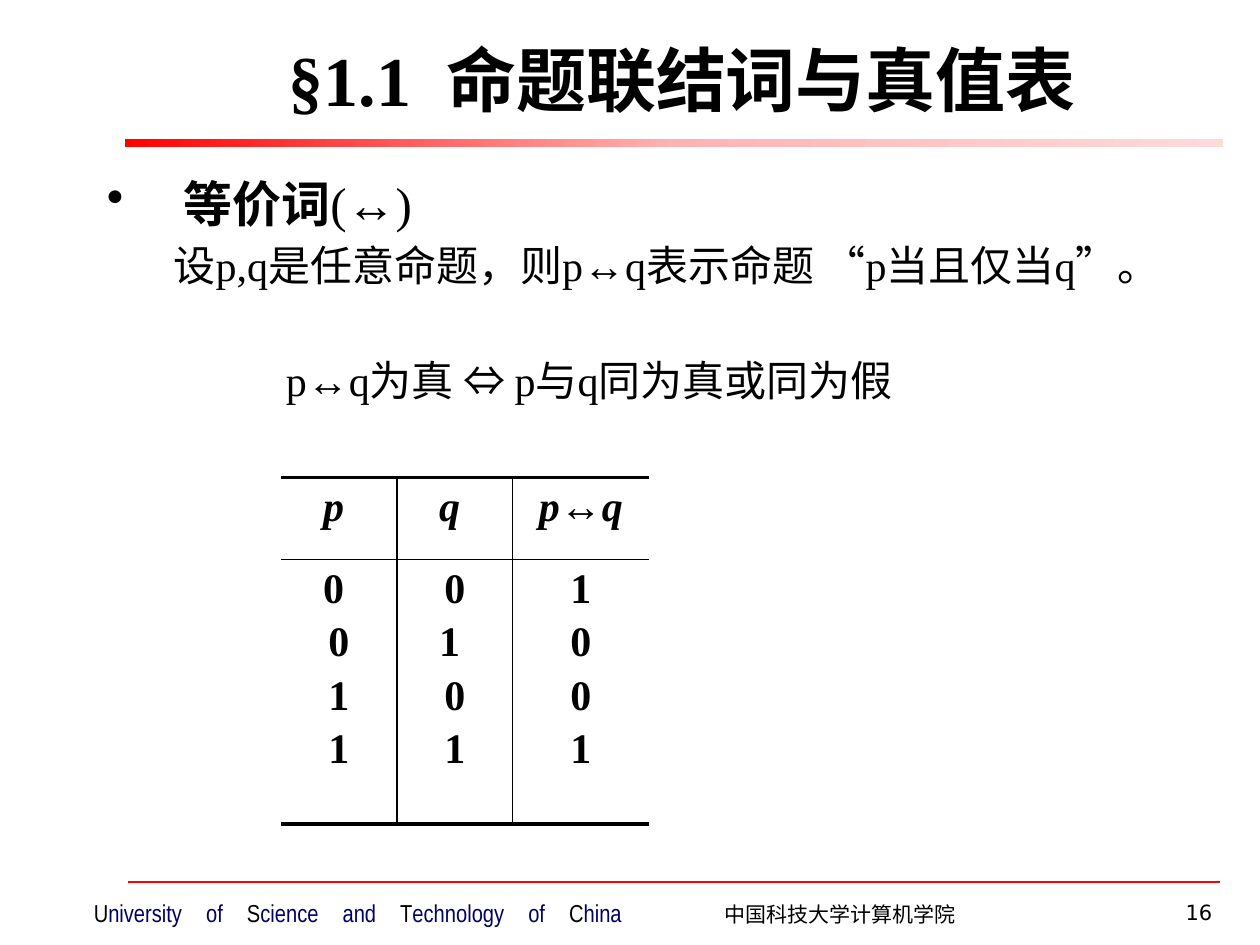
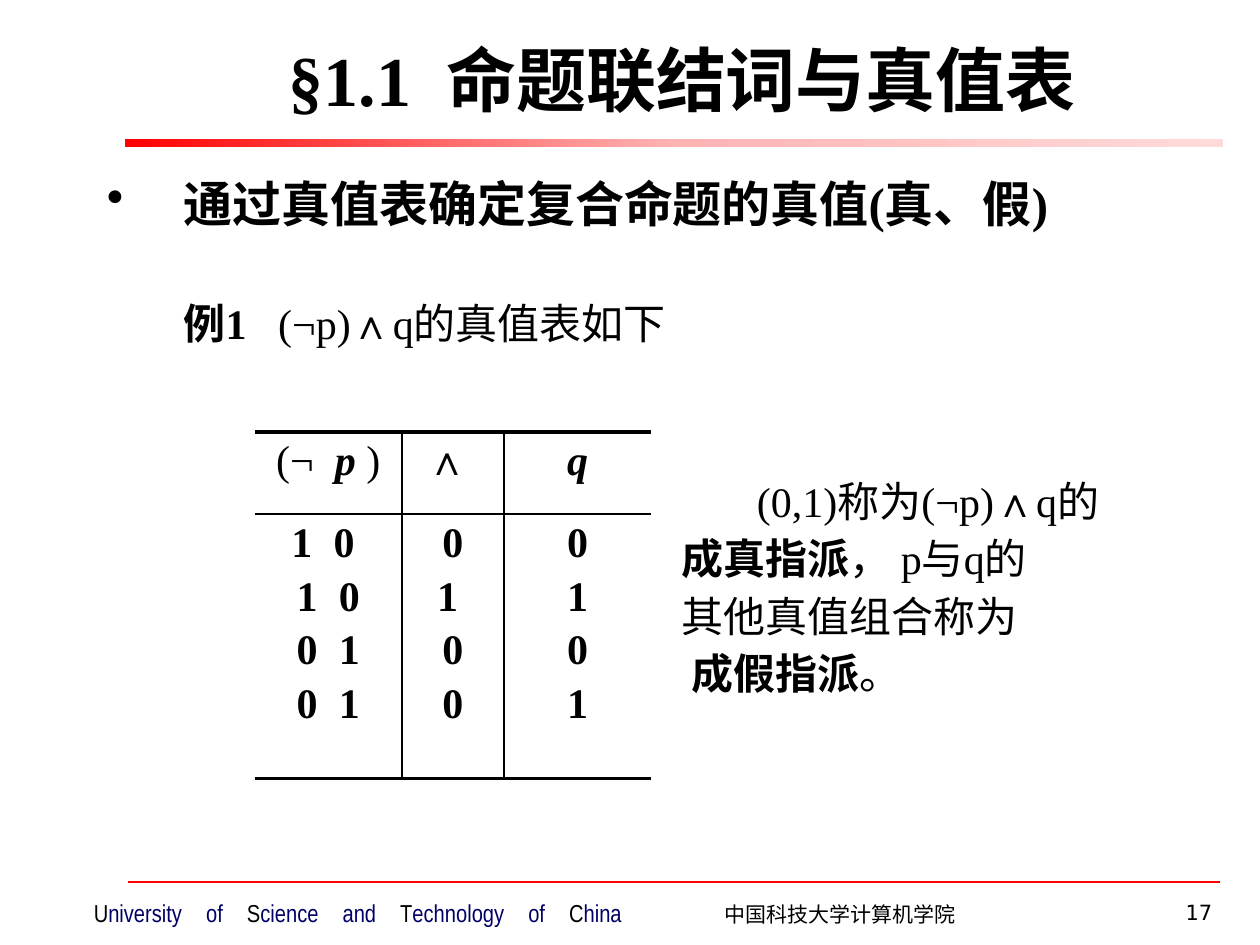
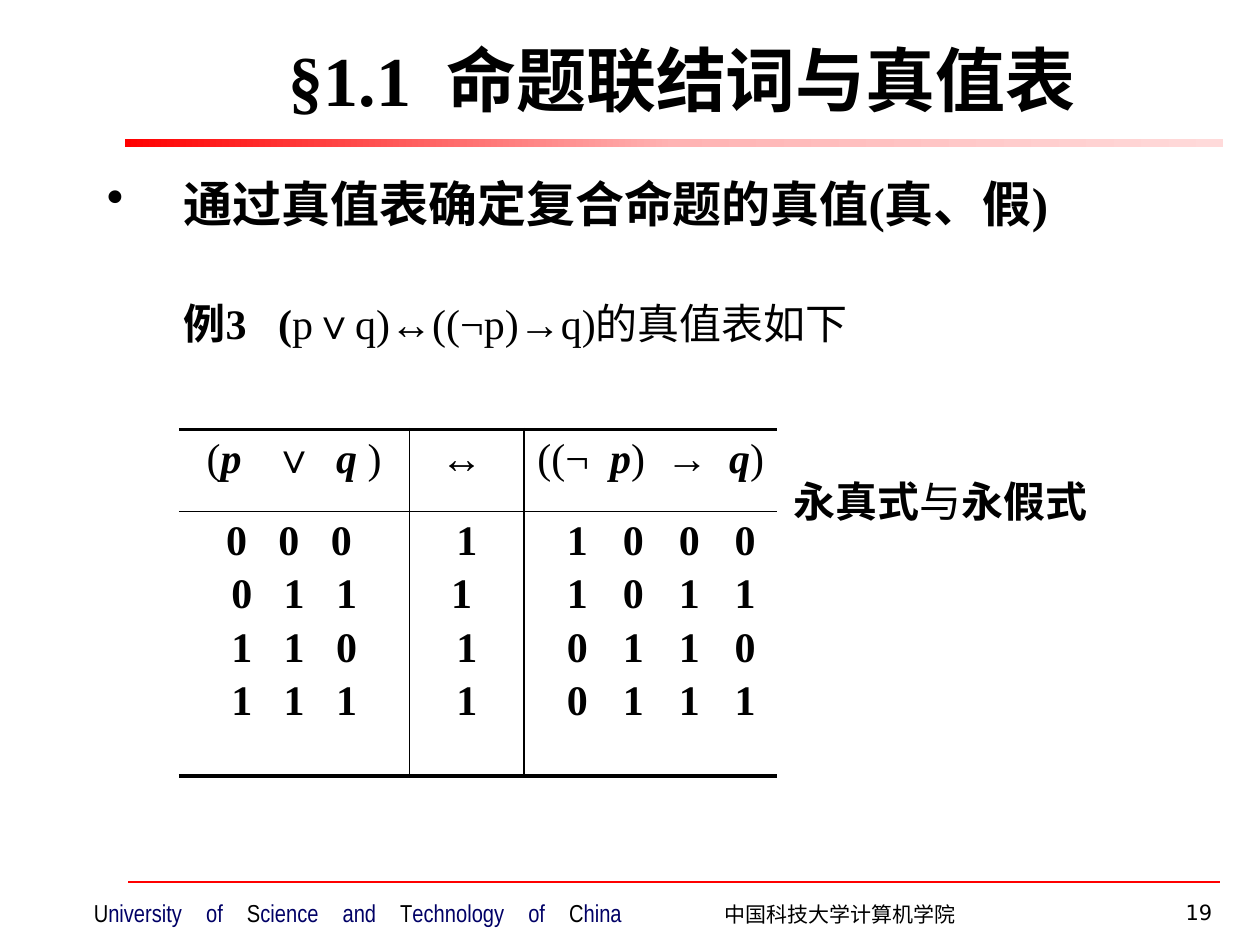
from copy import deepcopy
from dataclasses import dataclass
from itertools import groupby

from lxml.etree import SubElement
from pptx import Presentation
from pptx.dml.color import RGBColor
from pptx.enum.shapes import MSO_CONNECTOR, MSO_SHAPE
from pptx.enum.text import MSO_ANCHOR, PP_ALIGN
from pptx.oxml.ns import qn
from pptx.util import Emu, Inches, Pt

LEFT, CENTER, RIGHT = PP_ALIGN.LEFT, PP_ALIGN.CENTER, PP_ALIGN.RIGHT
TOP, MIDDLE = MSO_ANCHOR.TOP, MSO_ANCHOR.MIDDLE
RECTANGLE, STRAIGHT = MSO_SHAPE.RECTANGLE, MSO_CONNECTOR.STRAIGHT

SLIDE_WIDTH, SLIDE_HEIGHT = Inches(10), Inches(7.5)
GRID_COLUMNS = 100  # square grid: 100 columns by 75 rows


@dataclass(frozen=True)
class Theme:
    ink: str = "000000"
    navy: str = "000066"
    rule: str = "FF0000"
    paper: str = "FFFFFF"
    band: tuple = ((0, "FF0000"), (0.5, "FFB3B3"), (1, "FFDADA"))
    serif: str = "Times New Roman"
    sans: str = "DejaVu Sans"
    narrow: str = "Arial Narrow"
    title: float = 40
    heading: float = 28
    body: float = 24
    university: float = 14
    footer: float = 12
    line_gap: float = 4
    section_gap: float = 37
    note_gap: float = 73
    thin: float = 1
    thick: float = 2.25
    rule_width: float = 0.75


THEME = Theme()


@dataclass(frozen=True)
class Box:
    """A place on the slide, in grid units."""
    left: float
    top: float
    width: float
    height: float

    def emu(self) -> tuple:
        return tuple(grid(n) for n in (self.left, self.top, self.width, self.height))


@dataclass(frozen=True)
class Span:
    """Text in one style; each space in it is `gap` normal spaces wide."""
    text: str
    bold: bool = False
    italic: bool = False
    color: str = THEME.ink
    gap: float = 1


@dataclass(frozen=True)
class Line:
    """A paragraph; left and first are its indents in grid units."""
    spans: tuple
    size: float = THEME.body
    font: str = THEME.serif
    align: PP_ALIGN = LEFT
    left: float = 0
    first: float = 0
    before: float = 0
    bullet: str = ""


@dataclass(frozen=True)
class Column:
    """A column of a truth table; shift moves its values to the right."""
    width: float
    header: tuple
    values: tuple
    gap: float = 1
    shift: float = 0


@dataclass(frozen=True)
class Lesson:
    number: int
    lines: tuple
    table_left: float
    table_top: float
    columns: tuple


TITLE_BOX = Box(12.5, 2.5, 83.3, 7.4)
BAND_BOX = Box(9.9, 11, 87.2, 0.7)
BODY_BOX = Box(7.5, 13.3, 88.3, 56.1)
UNIVERSITY_BOX = Box(11.6, 70.7, 33.6, 3.4)
SCHOOL_BOX = Box(55.5, 71.1, 22.4, 3)
NUMBER_BOX = Box(80.7, 70.9, 16.5, 3)
RULE_LEFT, RULE_RIGHT, RULE_TOP = 10.2, 96.8, 70
HEADER_HEIGHT, VALUES_HEIGHT = 6.5, 21

TITLE = Span("§1.1 命题联结词与真值表", bold=True, gap=2)
SCHOOL = Span("中国科技大学计算机学院")
UNIVERSITY = tuple(
    span
    for initial, rest in (("U", "niversity of "), ("S", "cience and "),
                          ("T", "echnology of "), ("C", "hina"))
    for span in (Span(initial), Span(rest, color=THEME.navy, gap=4))
)


def grid(units: float) -> Emu:
    return Emu(round(SLIDE_WIDTH * units / GRID_COLUMNS))


def rgb(color: str) -> RGBColor:
    return RGBColor.from_string(color)


def strong(text: str, gap: float = 1) -> Span:
    return Span(text, bold=True, gap=gap)


def variable(text: str, gap: float = 1) -> Span:
    return Span(text, bold=True, italic=True, gap=gap)


def heading(*spans: Span) -> Line:
    return Line(spans, size=THEME.heading, left=6.1, first=-6.1,
                before=THEME.line_gap, bullet="•")


def example(*spans: Span) -> Line:
    return Line(spans, left=6.1, before=THEME.section_gap)


def note(*spans: Span, left: float = 45.6, before: float = THEME.line_gap) -> Line:
    return Line(spans, left=left, before=before)


def agreed(values: list):
    """The value that all share, or None when they differ."""
    return values[0] if len(set(values)) == 1 else None


def write_span(paragraph, span: Span, size: float) -> list:
    """Add the runs of a span, with letter spacing widening its spaces."""
    runs = []
    for is_gap, letters in groupby(span.text, key=str.isspace):
        run = paragraph.add_run()
        run.text = "".join(letters)
        if is_gap and span.gap > 1:
            extra = (span.gap - 1) * size / 4
            run._r.get_or_add_rPr().set("spc", str(round(extra * 100)))
        runs.append(run)
    return runs


def write_line(paragraph, line: Line) -> None:
    paragraph.alignment = line.align
    paragraph.space_before = Pt(line.before)
    properties = paragraph._p.get_or_add_pPr()
    properties.set("marL", str(grid(line.left)))
    properties.set("indent", str(grid(line.first)))
    if line.bullet:
        SubElement(properties, qn("a:buChar")).set("char", line.bullet)

    font = paragraph.font
    font.name, font.size = line.font, Pt(line.size)
    bold = agreed([span.bold for span in line.spans])
    italic = agreed([span.italic for span in line.spans])
    color = agreed([span.color for span in line.spans])
    font.bold, font.italic = bold, italic
    if color:
        font.color.rgb = rgb(color)
    for span in line.spans:
        for run in write_span(paragraph, span, line.size):
            if bold is None:
                run.font.bold = span.bold
            if italic is None:
                run.font.italic = span.italic
            if color is None:
                run.font.color.rgb = rgb(span.color)


def write_lines(frame, lines: tuple) -> None:
    for index, line in enumerate(lines):
        write_line(frame.add_paragraph() if index else frame.paragraphs[0], line)


def draw_text(slide, box: Box, lines: tuple, anchor: MSO_ANCHOR = TOP) -> None:
    frame = slide.shapes.add_textbox(*box.emu()).text_frame
    frame.word_wrap = True
    frame.vertical_anchor = anchor
    write_lines(frame, lines)


def draw_rectangle(slide, box: Box):
    rectangle = slide.shapes.add_shape(RECTANGLE, *box.emu())
    rectangle.shadow.inherit = False
    rectangle.line.fill.background()
    return rectangle


def draw_university(slide) -> None:
    panel = draw_rectangle(slide, UNIVERSITY_BOX)
    panel.fill.solid()
    panel.fill.fore_color.rgb = rgb(THEME.paper)
    paper = panel._element.spPr.find(".//" + qn("a:srgbClr"))
    SubElement(paper, qn("a:alpha")).set("val", "50000")
    frame = panel.text_frame
    frame.word_wrap = False
    frame.vertical_anchor = MIDDLE
    write_lines(frame, (Line(UNIVERSITY, THEME.university, THEME.narrow, CENTER),))


def draw_band(slide) -> None:
    band = draw_rectangle(slide, BAND_BOX)
    band.fill.gradient()
    band.fill.gradient_angle = 0
    stops = band._element.spPr.find(".//" + qn("a:gsLst"))
    stops.append(deepcopy(stops[0]))
    for stop, (position, color) in zip(band.fill.gradient_stops, THEME.band):
        stop.position = position
        stop.color.rgb = rgb(color)


def draw_footer_rule(slide) -> None:
    rule = slide.shapes.add_connector(
        STRAIGHT, grid(RULE_LEFT), grid(RULE_TOP), grid(RULE_RIGHT), grid(RULE_TOP))
    rule.line.color.rgb = rgb(THEME.rule)
    rule.line.width = Pt(THEME.rule_width)
    SubElement(rule._element.spPr, qn("a:effectLst"))


def draw_frame(slide, number: int) -> None:
    """Draw what all slides share: title, band and footer."""
    draw_university(slide)
    draw_band(slide)
    draw_text(slide, SCHOOL_BOX, (Line((SCHOOL,), THEME.footer, THEME.sans, CENTER),))
    draw_footer_rule(slide)
    draw_text(slide, NUMBER_BOX,
              (Line((Span(str(number)),), THEME.footer, THEME.sans, RIGHT),))
    draw_text(slide, TITLE_BOX,
              (Line((TITLE,), THEME.title, align=CENTER),), MIDDLE)


def set_borders(cell, widths: dict) -> None:
    """Set the edges L, R, T and B; a width of 0 hides an edge."""
    properties = cell._tc.get_or_add_tcPr()
    for side, width in widths.items():
        edge = SubElement(properties, qn(f"a:ln{side}"))
        edge.set("w", str(Pt(width)))
        if width:
            fill = SubElement(edge, qn("a:solidFill"))
            SubElement(fill, qn("a:srgbClr")).set("val", THEME.ink)
        else:
            SubElement(edge, qn("a:noFill"))


def cell_lines(column: Column) -> tuple:
    """The lines of the header cell and of the values cell."""
    header = Line(column.header, align=CENTER, before=THEME.line_gap)
    values = tuple(
        Line((strong(value, column.gap),), align=CENTER,
             left=column.shift, before=THEME.line_gap)
        for value in column.values)
    return (header,), values


def draw_truth_table(slide, lesson: Lesson) -> None:
    columns = lesson.columns
    box = Box(lesson.table_left, lesson.table_top,
              sum(column.width for column in columns), HEADER_HEIGHT + VALUES_HEIGHT)
    table = slide.shapes.add_table(2, len(columns), *box.emu()).table
    table.first_row = table.horz_banding = False
    for row, height in zip(table.rows, (HEADER_HEIGHT, VALUES_HEIGHT)):
        row.height = grid(height)
    for index, column in enumerate(columns):
        table.columns[index].width = grid(column.width)
        for row, lines in enumerate(cell_lines(column)):
            cell = table.cell(row, index)
            set_borders(cell, {
                "L": THEME.thin if index else 0,
                "R": THEME.thin if index < len(columns) - 1 else 0,
                "T": THEME.thin if row else THEME.thick,
                "B": THEME.thick if row else THEME.thin,
            })
            cell.fill.background()
            write_lines(cell.text_frame, lines)


COMPOUND_HEADING = heading(strong("通过真值表确定复合命题的真值(真、假)"))

LESSONS = (
    Lesson(
        16,
        (
            heading(strong("等价词"), Span("(↔)")),
            Line((Span("设p,q是任意命题，则p↔q表示命题 “p当且仅当q”。"),),
                 first=5.3, before=THEME.line_gap),
            Line((Span("p↔q为真 ⇔ p与q同为真或同为假"),),
                 left=14.2, before=THEME.section_gap),
        ),
        22.3, 37.9,
        (
            Column(9.2, (variable("p "),), ("0 ", "0", "1", "1")),
            Column(9.2, (variable("q "),), ("0", "1 ", "0", "1")),
            Column(10.8, (variable("p"), Span("↔"), variable("q")),
                   ("1", "0", "0", "1")),
        ),
    ),
    Lesson(
        17,
        (
            COMPOUND_HEADING,
            example(strong("例1 ", gap=3), Span("(¬p)∧q的真值表如下")),
            note(Span("(0,1)称为(¬p)∧q的"), left=51.6, before=THEME.note_gap),
            note(strong("成真指派"), Span("， p与q的")),
            note(Span("其他真值组合称为")),
            note(strong("成假指派"), Span("。"), left=46.4),
        ),
        20.2, 34.3,
        (
            Column(11.7, (Span("(¬ ", gap=2), variable("p "), Span(")")),
                   ("1 0 ", "1 0", "0 1", "0 1"), gap=2),
            Column(8.1, (Span("∧ "),), ("0", "1 ", "0", "0")),
            Column(11.7, (variable("q"),), ("0", "1", "0", "1")),
        ),
    ),
    Lesson(
        19,
        (
            COMPOUND_HEADING,
            example(strong("例3 (", gap=3), Span("p∨q)↔((¬p)→q)的真值表如下")),
            note(strong("永真式"), Span("与"), strong("永假式"),
                 left=54.5, before=THEME.note_gap),
        ),
        14.2, 34.1,
        (
            Column(18.3, (Span("("), variable("p ", gap=3), Span("∨ ", gap=2),
                          variable("q "), Span(")")),
                   ("0 0 0 ", "0 1 1", "1 1 0", "1 1 1"), gap=3),
            Column(9.1, (Span("↔ "),), ("1", "1 ", "1", "1")),
            Column(20.1, (Span("((¬ ", gap=2), variable("p"), Span(") → ", gap=2),
                          variable("q"), Span(")")),
                   ("1 0 0 0", "1 0 1 1", "0 1 1 0", "0 1 1 1"),
                   gap=3.33, shift=1.67),
        ),
    ),
)


def main() -> None:
    deck = Presentation()
    deck.slide_width, deck.slide_height = SLIDE_WIDTH, SLIDE_HEIGHT
    blank = deck.slide_layouts[6]
    for lesson in LESSONS:
        slide = deck.slides.add_slide(blank)
        draw_frame(slide, lesson.number)
        draw_text(slide, BODY_BOX, lesson.lines)
        draw_truth_table(slide, lesson)
    deck.save("out.pptx")


if __name__ == "__main__":
    main()
